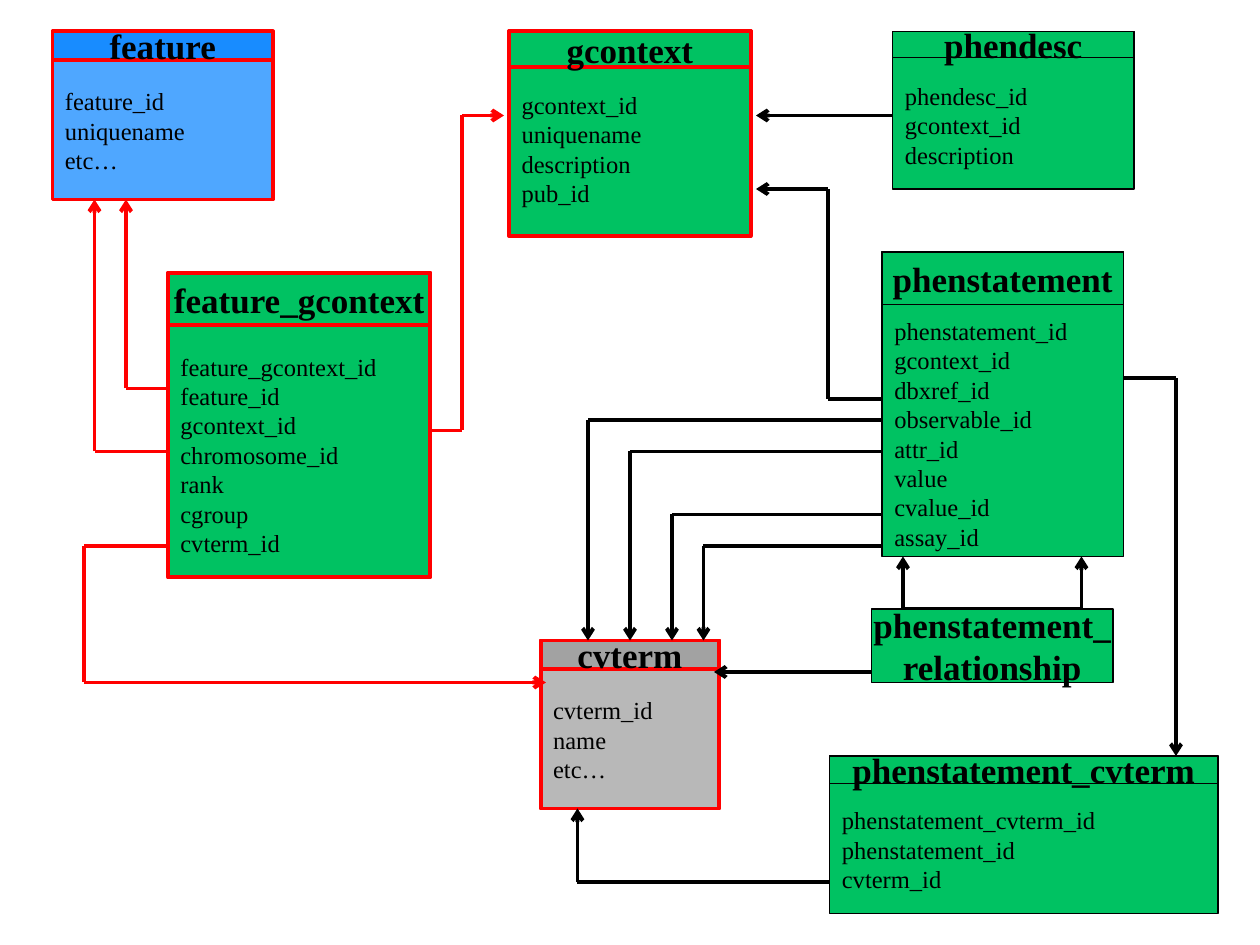
"""Build a one-slide diagram of phenotype tables and their foreign keys."""
import pptx
import pptx.dml.color
import pptx.enum.shapes
import pptx.enum.text
import pptx.oxml.ns
import pptx.util
from lxml import etree

FONT = "Times New Roman"
GREEN, BLUE, GREY = "00C262", "0080FF", "999999"
RED, BLACK = "FF0000", "000000"
LINE_HEIGHT = 1.2
FIELD_SIZE, HEADING_SIZE = 14, 20

# name: (column, row, columns, rows), heading rows, fill, opacity, line,
# field lines left free above less those below, fields
TABLES = {
    "feature": ((5, 3, 21, 16), 2.75, BLUE, 69, RED, 1,
                ["feature_id", "uniquename", "etc…"]),
    "feature_gcontext": ((16, 26, 25, 29), 5, GREEN, 100, RED, 2,
                         ["feature_gcontext_id", "feature_id", "gcontext_id",
                          "chromosome_id", "rank", "cgroup", "cvterm_id"]),
    "cvterm": ((51.5, 61, 17, 16), 2.75, GREY, 69, RED, 1,
               ["cvterm_id", "name", "etc…"]),
    "gcontext": ((48.5, 3, 23, 19.5), 3.4, GREEN, 100, RED, 1,
                 ["gcontext_id", "uniquename", "description", "pub_id"]),
    "phenstatement_cvterm": ((79, 72, 37, 15), 2.6, GREEN, 100, BLACK, 1,
                             ["phenstatement_cvterm_id", "phenstatement_id",
                              "cvterm_id"]),
    "phenstatement": ((84, 24, 23, 29), 5, GREEN, 100, BLACK, 2,
                      ["phenstatement_id", "gcontext_id", "dbxref_id",
                       "observable_id", "attr_id", "value", "cvalue_id",
                       "assay_id"]),
    "phendesc": ((85, 3, 23, 15), 2.5, GREEN, 100, BLACK, 1,
                 ["phendesc_id", "gcontext_id", "description"]),
}

RED_ROUTES = [
    [(16, 37), (12, 37), (12, 19)],
    [(16, 43), (9, 43), (9, 19)],
    [(16, 52), (8, 52), (8, 65), (52, 65)],
    [(41, 41), (44, 41), (44, 11), (48, 11)],
]
BLACK_ROUTES = [
    [(83, 64), (68, 64)],
    [(84, 38), (78.85, 38), (78.85, 18), (72, 18)],
    [(79, 84), (55, 84), (55, 77)],
    [(107, 36), (112, 36), (112, 72)],
    [(84, 40), (56, 40), (56, 61)],
    [(84, 49), (64, 49), (64, 61)],
    [(84, 52), (67, 52), (67, 61)],
    [(86, 58), (86, 53)],
    [(86, 58), (103, 58), (103, 53)],
    [(85, 11), (72, 11)],
]
ATTR_ROUTE = [(84, 43), (60, 43), (60, 61)]


def cells(n):
    """Turn grid cells of a twelfth of an inch into a length."""
    return pptx.util.Inches(n / 12)


def rgb(value):
    """Turn a hex string into a colour."""
    return pptx.dml.color.RGBColor.from_string(value)


def add_box(s, box, fill, opacity, line):
    """Add a filled, outlined rectangle without inner margins."""
    sp = s.shapes.add_shape(pptx.enum.shapes.MSO_SHAPE.RECTANGLE, *map(cells, box))
    sp.shadow.inherit = False
    sp.fill.solid()
    sp.fill.fore_color.rgb = rgb(fill)
    if opacity < 100:
        color = sp.fill._xPr.find(".//" + pptx.oxml.ns.qn("a:srgbClr"))
        alpha = etree.SubElement(color, pptx.oxml.ns.qn("a:alpha"))
        alpha.set("val", str(opacity * 1000))
    sp.line.color.rgb = rgb(line)
    sp.line.width = pptx.util.Pt(2.25 if line == RED else 0.75)
    tf = sp.text_frame
    tf.margin_left = tf.margin_right = tf.margin_top = tf.margin_bottom = 0
    tf.vertical_anchor = pptx.enum.text.MSO_ANCHOR.MIDDLE
    return sp


def add_lines(tf, lines, size, bold, align):
    """Write one paragraph per line of text."""
    for i, text in enumerate(lines):
        p = tf.paragraphs[0] if i == 0 else tf.add_paragraph()
        p.alignment = align
        p.line_spacing = pptx.util.Pt(size * LINE_HEIGHT)
        r = p.add_run()
        r.text = text
        r.font.name = FONT
        r.font.size = pptx.util.Pt(size)
        r.font.bold = bold
        r.font.color.rgb = rgb(BLACK)


def add_heading(s, box, lines, fill, opacity, line):
    """Add a box with a bold centred heading."""
    tf = add_box(s, box, fill, opacity, line).text_frame
    tf.word_wrap = False
    add_lines(tf, lines, HEADING_SIZE, True, pptx.enum.text.PP_ALIGN.CENTER)


def add_entity(s, name, box, heading_rows, fill, opacity, line, drop, fields):
    """Add a database table as a field box under a heading; return the box."""
    sp = add_box(s, box, fill, opacity, line)
    tf = sp.text_frame
    tf.word_wrap = True
    tf.margin_left = tf.margin_right = pptx.util.Inches(0.1)
    tf.margin_top = pptx.util.Pt(drop * FIELD_SIZE * LINE_HEIGHT)
    add_lines(tf, fields, FIELD_SIZE, False, pptx.enum.text.PP_ALIGN.LEFT)
    add_heading(s, (*box[:3], heading_rows), [name], fill, opacity, line)
    return sp


def add_route(s, points, color):
    """Join points by straight lines, with an arrowhead at the last one."""
    for start, end in zip(points, points[1:]):
        c = s.shapes.add_connector(pptx.enum.shapes.MSO_CONNECTOR.STRAIGHT,
                                   *map(cells, start + end))
        c.line.color.rgb = rgb(color)
        c.line.width = pptx.util.Pt(2.25)
        etree.SubElement(c._element.spPr, pptx.oxml.ns.qn("a:effectLst"))
    tail = etree.SubElement(c.line._get_or_add_ln(), pptx.oxml.ns.qn("a:tailEnd"))
    tail.set("type", "arrow")
    return c


def main():
    """Build and save the slide."""
    prs = pptx.Presentation()
    prs.slide_width, prs.slide_height = cells(120), cells(90)
    s = prs.slides.add_slide(prs.slide_layouts[6])
    entities = {name: add_entity(s, name, *row) for name, row in TABLES.items()}
    for color, routes in ((RED, RED_ROUTES), (BLACK, BLACK_ROUTES)):
        for points in routes:
            add_route(s, points, color)
    add_route(s, ATTR_ROUTE, BLACK).end_connect(entities["cvterm"], 0)
    add_heading(s, (83, 58, 23, 7), ["phenstatement_", "relationship"],
                GREEN, 100, BLACK)
    prs.save("out.pptx")


if __name__ == "__main__":
    main()
